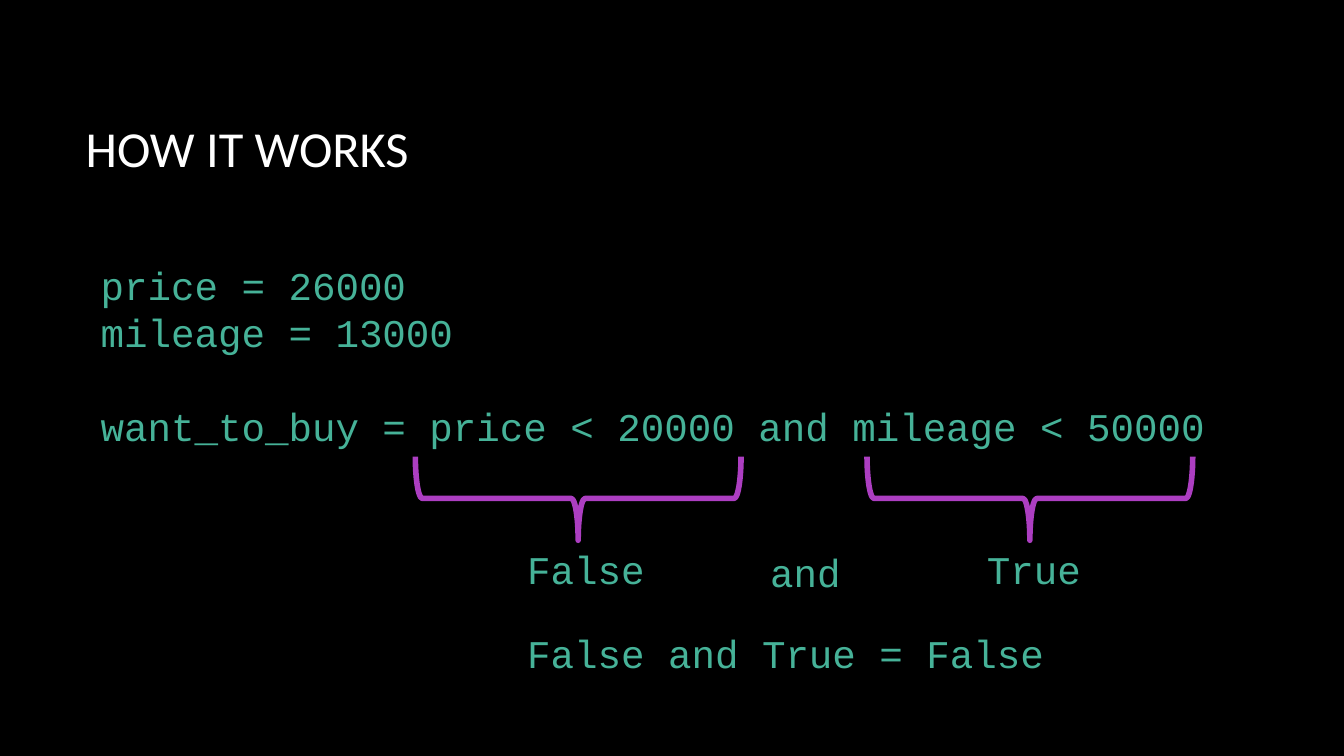
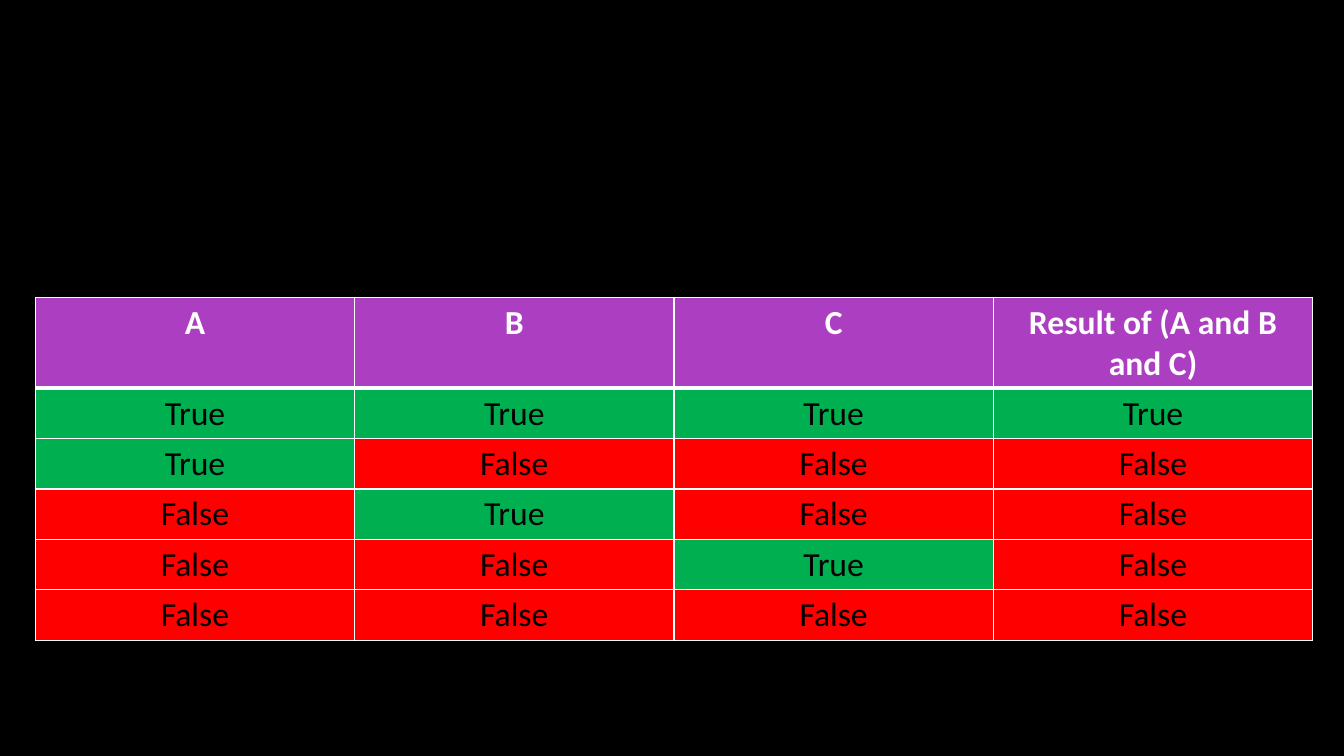
import lxml.etree
import pptx
import pptx.dml.color
import pptx.enum.shapes
import pptx.enum.text
import pptx.oxml.ns
import pptx.util

Inches = pptx.util.Inches
Pt = pptx.util.Pt
RGBColor = pptx.dml.color.RGBColor

BLACK = RGBColor(0x00, 0x00, 0x00)
WHITE = RGBColor(0xFF, 0xFF, 0xFF)
TEAL = RGBColor(0x46, 0xB2, 0x98)
PURPLE = RGBColor(0xAC, 0x3E, 0xC1)
GREEN = RGBColor(0x00, 0xB0, 0x50)
RED = RGBColor(0xFF, 0x00, 0x00)

BODY_FONT = "Calibri"
CODE_FONT = "Courier New"
TITLE_ONLY, BLANK = 5, 6

CODE_LINES = [
    "price = 26000",
    "mileage = 13000",
    "want_to_buy = price < 20000 and mileage < 50000",
]
TRUTH_HEADINGS = ["A", "B", "C", "Result of (A and B and C)"]
TRUTH_INPUTS = [
    (True, True, True),
    (True, False, False),
    (False, True, False),
    (False, False, True),
    (False, False, False),
]


def style_runs(paragraph, font_name, size, color, bold=False):
    """Format every run of a paragraph."""
    for run in paragraph.runs:
        run.font.name = font_name
        run.font.size = Pt(size)
        run.font.bold = bold
        run.font.color.rgb = color


def add_title(slide, text, left, top, width, height):
    """Place and format the slide title."""
    title = slide.shapes.title
    title.left, title.top = Inches(left), Inches(top)
    title.width, title.height = Inches(width), Inches(height)
    frame = title.text_frame
    frame.text = text
    frame.auto_size = pptx.enum.text.MSO_AUTO_SIZE.NONE
    frame.vertical_anchor = pptx.enum.text.MSO_ANCHOR.MIDDLE
    frame.paragraphs[0].alignment = pptx.enum.text.PP_ALIGN.LEFT
    style_runs(frame.paragraphs[0], BODY_FONT, 36, WHITE)


def add_code(slide, lines, left, top, width, height):
    """Add lines of code and return their text frame."""
    code = slide.shapes.add_textbox(
        Inches(left), Inches(top), Inches(width), Inches(height))
    frame = code.text_frame
    frame.word_wrap = True
    frame.auto_size = pptx.enum.text.MSO_AUTO_SIZE.SHAPE_TO_FIT_TEXT
    frame.text = "\n".join(lines)
    for paragraph in frame.paragraphs:
        style_runs(paragraph, CODE_FONT, 28, TEAL)
    return frame


def add_brace(slide, left, top, width, height):
    """Draw a brace that opens upwards and fills the given box."""
    brace = slide.shapes.add_shape(
        pptx.enum.shapes.MSO_SHAPE.LEFT_BRACE,
        Inches(left + (width - height) / 2),
        Inches(top + (height - width) / 2),
        Inches(height), Inches(width))
    brace.rotation = 270
    brace.shadow.inherit = False
    brace.fill.background()
    brace.line.color.rgb = PURPLE
    brace.line.width = Pt(4)


def add_evaluation(slide, left, top):
    """Show under the condition how its two halves are evaluated."""
    for brace_offset in (0, 4.48):
        add_brace(slide, left + brace_offset, top, 3.23, 0.83)
    for text, x, y, width in (
        ("False", 1.01, 0.83, 1.55),
        ("and", 3.42, 0.86, 1.21),
        ("True", 5.57, 0.83, 1.21),
        ("False and True = False", 1.01, 1.66, 5.61),
    ):
        add_code(slide, [text], left + x, top + y, width, 0.57)


def set_borders(cell, bottom_width):
    """Give a cell white borders, with its own width at the bottom."""
    properties = cell._tc.get_or_add_tcPr()
    qn = pptx.oxml.ns.qn
    for side, width in (("L", 1), ("R", 1), ("T", 1), ("B", bottom_width)):
        border = lxml.etree.SubElement(
            properties, qn(f"a:ln{side}"), w=str(Pt(width)))
        fill = lxml.etree.SubElement(border, qn("a:solidFill"))
        lxml.etree.SubElement(fill, qn("a:srgbClr"), val=str(WHITE))


def fill_cell(cell, text, fill, color, bold=False, bottom_width=1):
    """Write and format one table cell."""
    set_borders(cell, bottom_width)
    cell.fill.solid()
    cell.fill.fore_color.rgb = fill
    cell.text_frame.text = text
    paragraph = cell.text_frame.paragraphs[0]
    paragraph.alignment = pptx.enum.text.PP_ALIGN.CENTER
    style_runs(paragraph, BODY_FONT, 24, color, bold)


def add_truth_table(slide, left, top, width, height):
    """Add the truth table of a three-way conjunction."""
    table = slide.shapes.add_table(
        len(TRUTH_INPUTS) + 1, len(TRUTH_HEADINGS),
        Inches(left), Inches(top), Inches(width), Inches(height)).table
    header_height = 0.9
    table.rows[0].height = Inches(header_height)
    for column, heading in enumerate(TRUTH_HEADINGS):
        fill_cell(table.cell(0, column), heading, PURPLE, WHITE, True, 3)
    for row, inputs in enumerate(TRUTH_INPUTS, start=1):
        table.rows[row].height = Inches(
            (height - header_height) / len(TRUTH_INPUTS))
        for column, value in enumerate((*inputs, all(inputs))):
            fill_cell(table.cell(row, column), str(value),
                      GREEN if value else RED, BLACK)


def build_how_it_works(deck):
    """Build the slide that evaluates a condition step by step."""
    slide = deck.slides.add_slide(deck.slide_layouts[TITLE_ONLY])
    add_title(slide, "HOW IT WORKS", 0.75, 0.67, 11.08, 1.59)
    program = add_code(slide, CODE_LINES, 0.9, 2.54, 11.79, 1.99)
    program.paragraphs[-1].space_before = Pt(33.6)
    add_evaluation(slide, 4.12, 4.53)


def build_truth_table(deck):
    """Build the truth table slide."""
    slide = deck.slides.add_slide(deck.slide_layouts[BLANK])
    add_truth_table(slide, 0.35, 2.95, 12.67, 3.4)


def main():
    """Build and save the deck."""
    deck = pptx.Presentation()
    deck.slide_width, deck.slide_height = Inches(13.33), Inches(7.5)
    backdrop = deck.slide_master.background.fill
    backdrop.solid()
    backdrop.fore_color.rgb = BLACK
    build_how_it_works(deck)
    build_truth_table(deck)
    deck.save("out.pptx")


if __name__ == "__main__":
    main()
